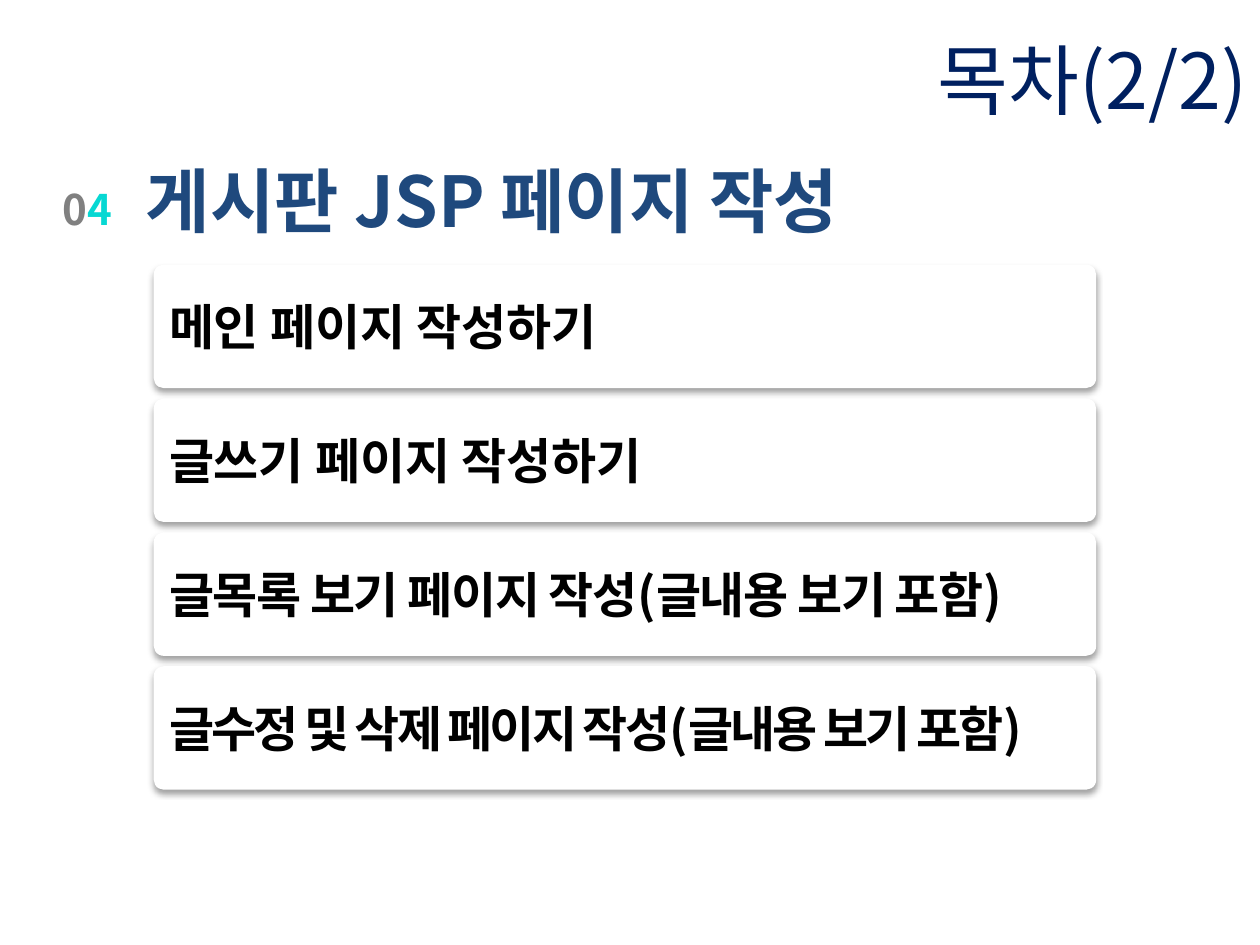
"""Build the second agenda slide: a section heading above four topic cards."""
from lxml.etree import SubElement
from pptx import Presentation
from pptx.dml.color import RGBColor
from pptx.enum.shapes import MSO_SHAPE
from pptx.enum.text import MSO_ANCHOR, MSO_AUTO_SIZE, PP_ALIGN
from pptx.oxml import parse_xml
from pptx.oxml.ns import nsdecls, qn
from pptx.util import Pt

FONT = "Noto Sans CJK KR"
NAVY = RGBColor(0x00, 0x20, 0x60)
BLUE = RGBColor(0x1F, 0x49, 0x7D)
GRAY = RGBColor(0x80, 0x80, 0x80)
CYAN = RGBColor(0x07, 0xD8, 0xD3)
BLACK = RGBColor(0x00, 0x00, 0x00)
WHITE = RGBColor(0xFF, 0xFF, 0xFF)

CARD_TOP = 151.2
CARD_PITCH = 76.5
CARDS = [
    ("메인 페이지 작성하기", PP_ALIGN.JUSTIFY, 0),
    ("글쓰기 페이지 작성하기", PP_ALIGN.JUSTIFY, 0),
    ("글목록 보기 페이지 작성(글내용 보기 포함)", PP_ALIGN.LEFT, -0.7),
    ("글수정 및 삭제 페이지 작성(글내용 보기 포함)", PP_ALIGN.LEFT, -1.6),
]


def format_span(span, size, color, bold=True, spacing=0):
    """Set the font, size, colour and letter spacing of a run."""
    span.font.size = Pt(size)
    span.font.bold = bold
    span.font.color.rgb = color
    span.font.name = FONT
    properties = span.font._element
    SubElement(properties, qn("a:ea")).set("typeface", FONT)
    if spacing:
        properties.set("spc", str(round(spacing * 100)))


def add_title(page, text):
    """Place the right-aligned slide title across the top."""
    title = page.shapes.title
    title.left, title.top, title.width, title.height = Pt(0), Pt(0), Pt(720), Pt(90)
    frame = title.text_frame
    frame.text = text
    frame.auto_size = MSO_AUTO_SIZE.NONE
    frame.vertical_anchor = MSO_ANCHOR.MIDDLE
    para = frame.paragraphs[0]
    para.alignment = PP_ALIGN.RIGHT
    format_span(para.runs[0], 44, NAVY, bold=False)


def add_label(page, left, top, width, height, spans, size, wrap=True):
    """Add a one-line text box from (text, colour) spans and return its paragraph."""
    box = page.shapes.add_textbox(Pt(left), Pt(top), Pt(width), Pt(height))
    box.text_frame.word_wrap = wrap
    box.text_frame.auto_size = MSO_AUTO_SIZE.SHAPE_TO_FIT_TEXT
    para = box.text_frame.paragraphs[0]
    for text, color in spans:
        span = para.add_run()
        span.text = text
        format_span(span, size, color)
    return para


def add_shadow(shape):
    """Give a shape a soft shadow that falls straight down."""
    shape.shadow.inherit = False
    effects = shape._element.spPr.find(qn("a:effectLst"))
    effects.append(parse_xml(
        f'<a:outerShdw {nsdecls("a")} blurRad="{Pt(3.5)}" dist="{Pt(2.2)}" '
        'dir="5400000" rotWithShape="0"><a:srgbClr val="000000">'
        '<a:alpha val="36000"/></a:srgbClr></a:outerShdw>'))


def add_card(page, top, text, alignment, spacing):
    """Add a white rounded card holding one topic."""
    card = page.shapes.add_shape(
        MSO_SHAPE.ROUNDED_RECTANGLE, Pt(87.84), Pt(top), Pt(538.56), Pt(70.56))
    card.adjustments[0] = 0.08
    card.fill.solid()
    card.fill.fore_color.rgb = WHITE
    card.line.fill.background()
    add_shadow(card)
    frame = card.text_frame
    frame.text = text
    frame.word_wrap = True
    frame.vertical_anchor = MSO_ANCHOR.MIDDLE
    para = frame.paragraphs[0]
    para.alignment = alignment
    format_span(para.runs[0], 28, BLACK, spacing=spacing)


def main():
    """Build and save the deck."""
    deck = Presentation()
    deck.slide_width, deck.slide_height = Pt(720), Pt(540)
    page = deck.slides.add_slide(deck.slide_layouts[5])
    add_title(page, "목차(2/2)")
    heading = add_label(page, 76.32, 88.56, 445.68, 54,
                        [("게시판 JSP 페이지 작성", BLUE)], 40, wrap=False)
    heading.line_spacing = Pt(46)
    number = add_label(page, 24.48, 101.52, 51.12, 36, [("0", GRAY), ("4", CYAN)], 24)
    number.alignment = PP_ALIGN.CENTER
    for index, (text, alignment, spacing) in enumerate(CARDS):
        add_card(page, CARD_TOP + index * CARD_PITCH, text, alignment, spacing)
    deck.save("out.pptx")


if __name__ == "__main__":
    main()
